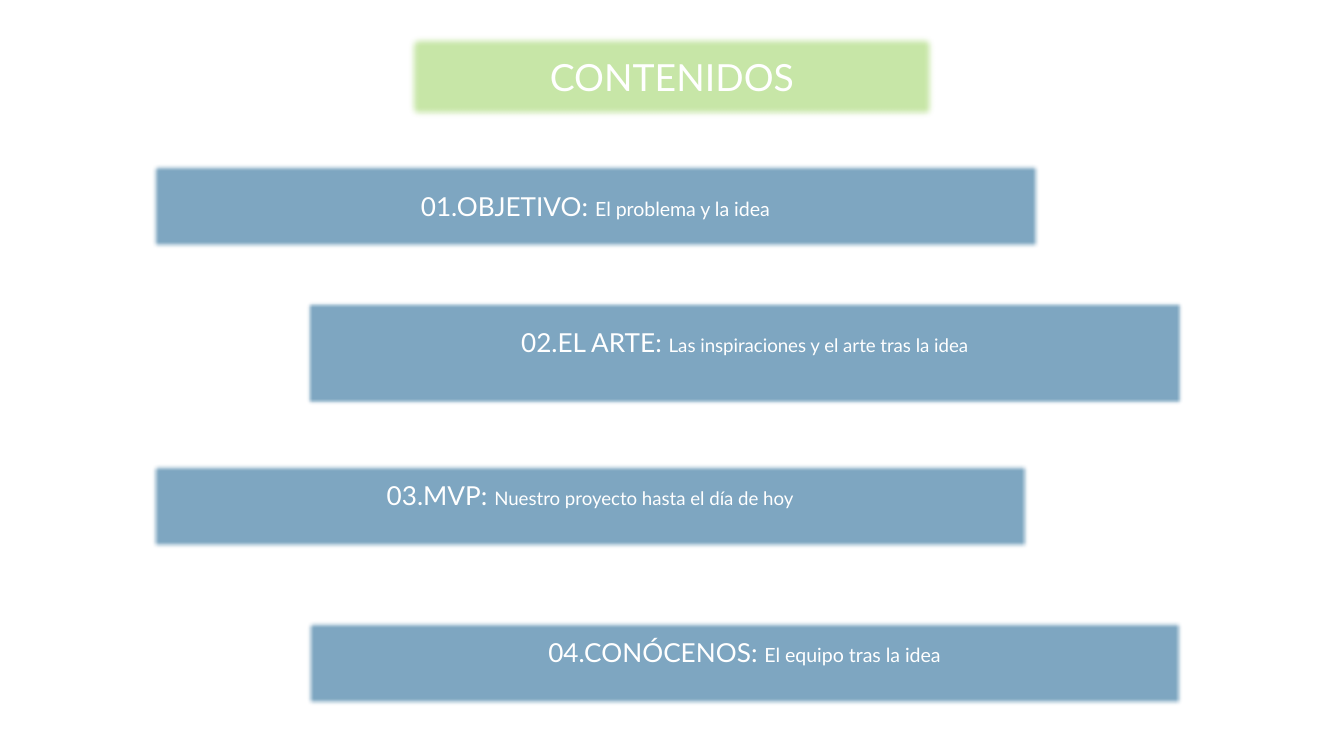
from dataclasses import dataclass

import lxml.etree
import pptx
import pptx.dml.color
import pptx.enum.shapes
import pptx.enum.text
import pptx.oxml.ns
import pptx.util

WHITE = pptx.dml.color.RGBColor(0xFF, 0xFF, 0xFF)
GREEN = pptx.dml.color.RGBColor(0x92, 0xD0, 0x50)
BLUE = pptx.dml.color.RGBColor(0x29, 0x6D, 0x98)

SLIDE_WIDTH = pptx.util.Inches(10)
SLIDE_HEIGHT = SLIDE_WIDTH * 9 // 16
COLUMN = SLIDE_WIDTH / 100
ROW = SLIDE_HEIGHT / 100

INSET = pptx.util.Inches(0.1)
RAISED_INSET = pptx.util.Inches(0.27)
OUTER_LEFT, INNER_LEFT = 11.2, 22.7
BANNER_WIDTH, BANNER_HEIGHT = 65.4, 11.56


@dataclass(frozen=True)
class Span:
    text: str
    size: float


@dataclass(frozen=True)
class Banner:
    """A soft-edged bar; left and width in columns, top and height in rows."""
    left: float
    top: float
    spans: tuple[Span, ...]
    width: float = BANNER_WIDTH
    height: float = BANNER_HEIGHT
    color: pptx.dml.color.RGBColor = BLUE
    opacity: int = 60
    soft_edge: float = 2.5
    bottom_inset: int = RAISED_INSET


def entry(heading: str, detail: str, detail_size: float = 10) -> tuple[Span, ...]:
    return Span(f"{heading}: ", 14), Span(detail, detail_size)


BANNERS = (
    Banner(30.2, 4.27, (Span("CONTENIDOS", 20),), width=39.6, height=11.73,
           color=GREEN, opacity=50, soft_edge=4, bottom_inset=INSET),
    Banner(OUTER_LEFT, 21.51, entry("01.OBJETIVO", "El problema y la idea", 10.5),
           width=66.2, bottom_inset=INSET),
    Banner(INNER_LEFT, 39.82,
           entry("02.EL ARTE", "Las inspiraciones y el arte tras la idea"),
           height=13.87),
    Banner(OUTER_LEFT, 61.16,
           entry("03.MVP", "Nuestro proyecto hasta el día de hoy")),
    Banner(INNER_LEFT, 81.96,
           entry("04.CONÓCENOS", "El equipo tras la idea", 10.5)),
)


def soften(shape: pptx.shapes.autoshape.Shape, opacity: int, radius: float) -> None:
    """Make the fill translucent (percent) and blur the edge (points)."""
    qn = pptx.oxml.ns.qn
    properties = shape.element.spPr
    color = properties.find(f"{qn('a:solidFill')}/{qn('a:srgbClr')}")
    lxml.etree.SubElement(color, qn("a:alpha"), val=str(opacity * 1000))
    effects = properties.find(qn("a:effectLst"))
    lxml.etree.SubElement(effects, qn("a:softEdge"),
                          rad=str(int(pptx.util.Pt(radius))))


def draw_banner(page: pptx.slide.Slide, banner: Banner) -> None:
    box = page.shapes.add_shape(
        pptx.enum.shapes.MSO_SHAPE.RECTANGLE,
        round(banner.left * COLUMN), round(banner.top * ROW),
        round(banner.width * COLUMN), round(banner.height * ROW))
    box.shadow.inherit = False
    box.fill.solid()
    box.fill.fore_color.rgb = banner.color
    box.line.fill.background()
    soften(box, banner.opacity, banner.soft_edge)

    frame = box.text_frame
    frame.word_wrap = True
    frame.vertical_anchor = pptx.enum.text.MSO_ANCHOR.MIDDLE
    frame.margin_left = frame.margin_right = frame.margin_top = INSET
    frame.margin_bottom = banner.bottom_inset
    para = frame.paragraphs[0]
    para.alignment = pptx.enum.text.PP_ALIGN.CENTER
    para.font.name = "Lato"
    para.font.color.rgb = WHITE
    for span in banner.spans:
        run = para.add_run()
        run.text = span.text
        run.font.size = pptx.util.Pt(span.size)


def main() -> None:
    deck = pptx.Presentation()
    deck.slide_width = SLIDE_WIDTH
    deck.slide_height = SLIDE_HEIGHT
    page = deck.slides.add_slide(deck.slide_layouts[6])
    for banner in BANNERS:
        draw_banner(page, banner)
    deck.save("out.pptx")


if __name__ == "__main__":
    main()
